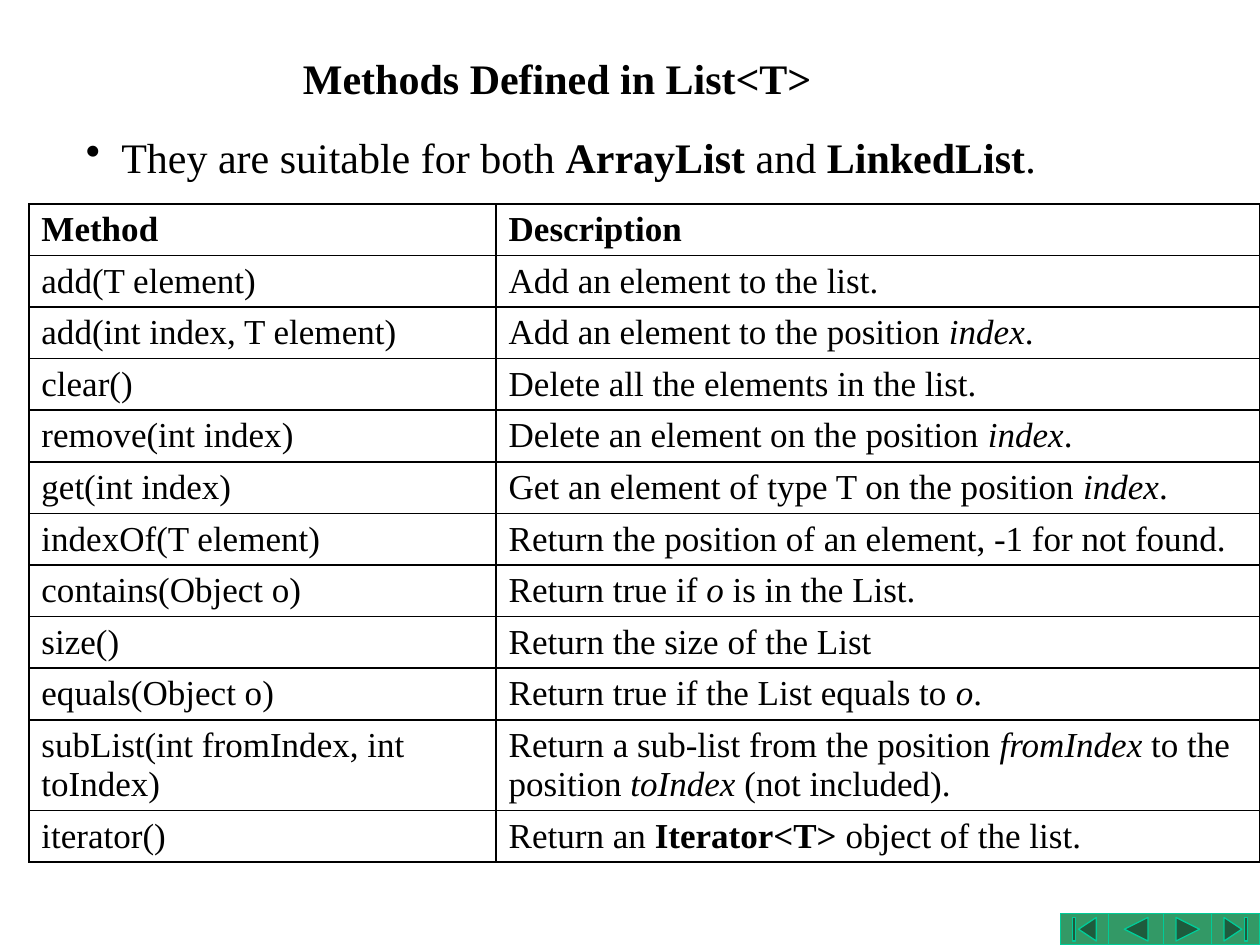
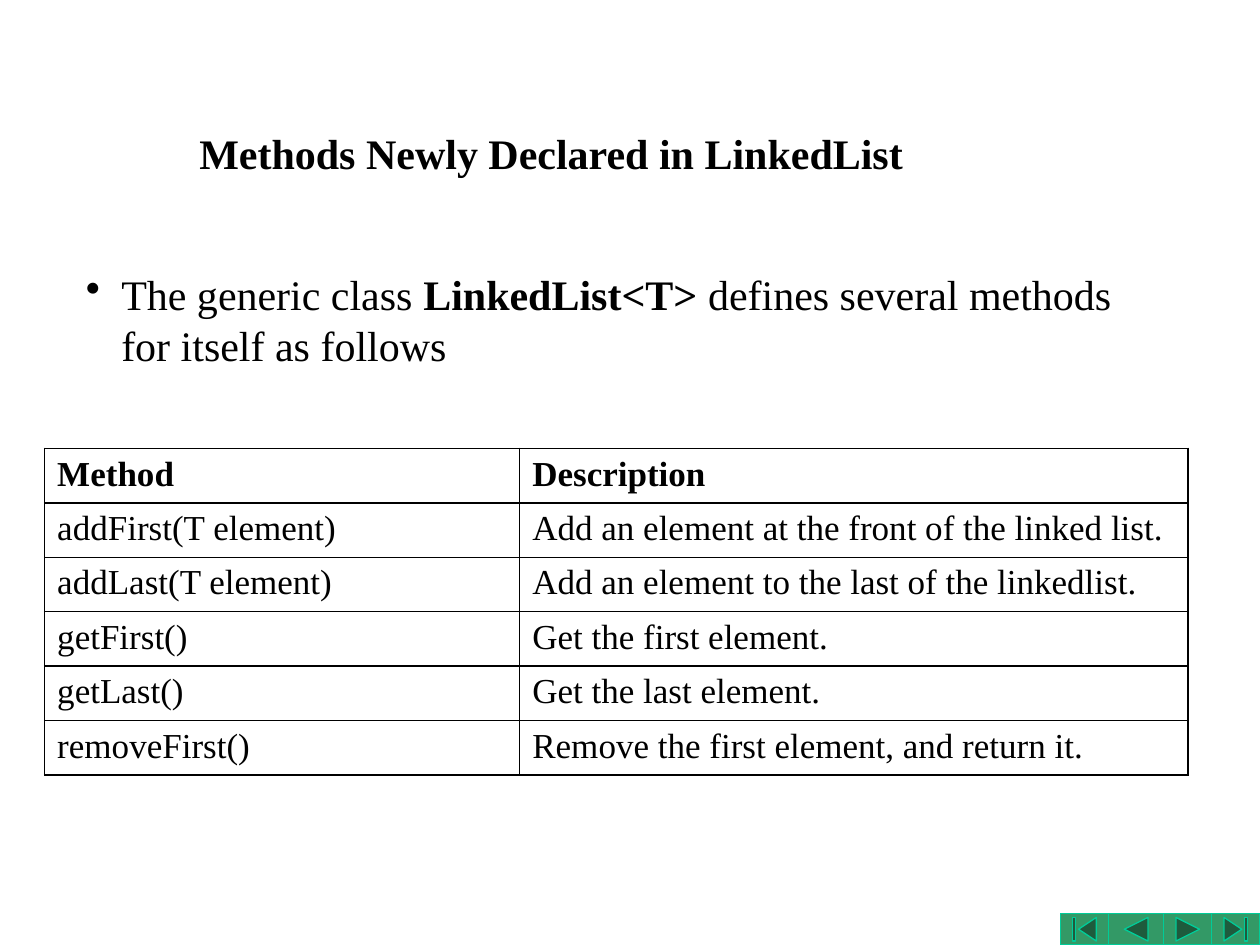
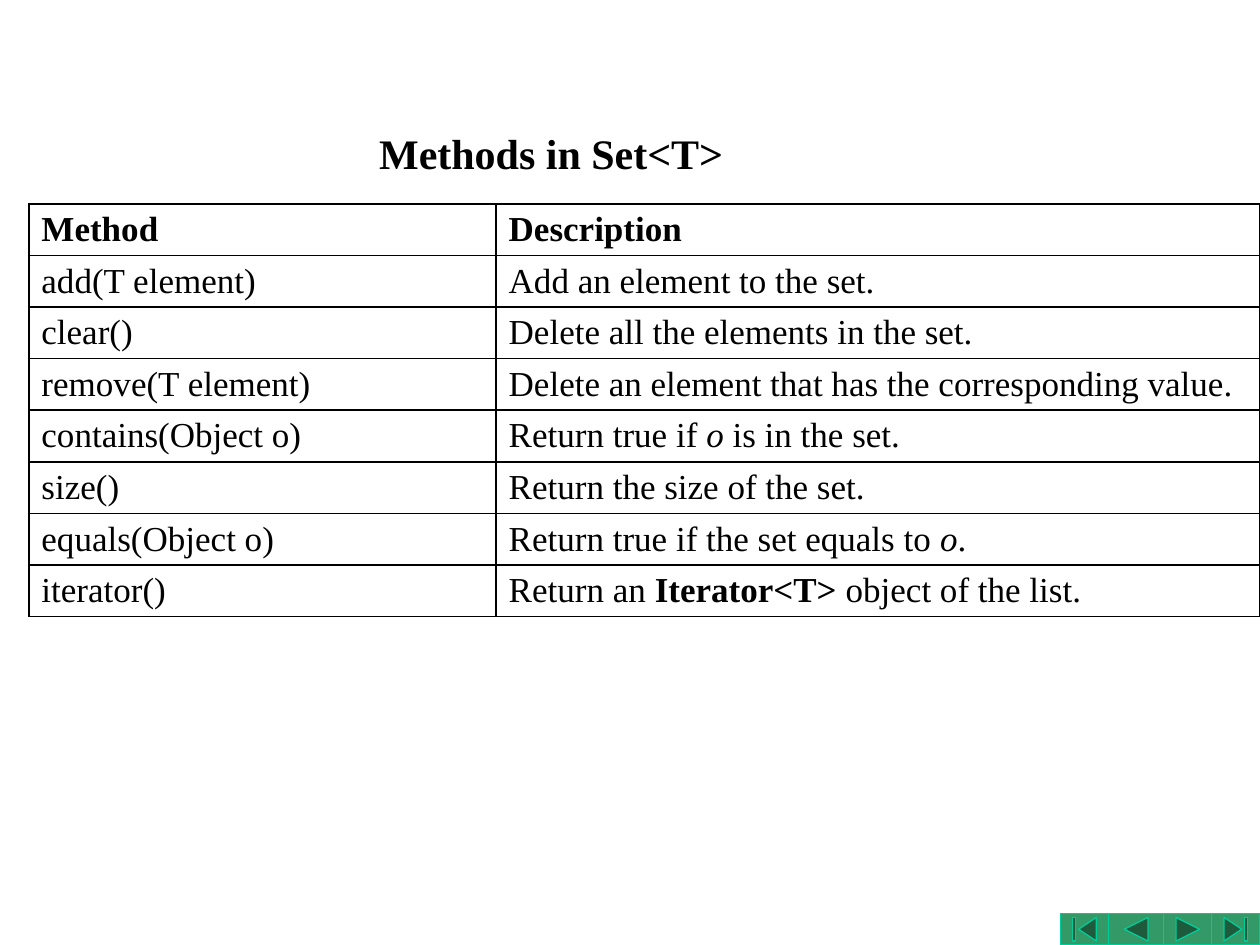
"""Build three slides that tabulate the methods of the Java collection types."""
from dataclasses import dataclass
from typing import NamedTuple, Optional, Union

from lxml import etree
from pptx import Presentation
from pptx.dml.color import RGBColor
from pptx.enum import shapes, text
from pptx.oxml import ns
from pptx.util import Pt

COLORS = {"ink": "000000", "button": "339966", "button_line": "00CC99"}
FONT = "Times New Roman"
SLIDE_W, SLIDE_H = 720, 540
BUTTON_H = 18
CELL_LINE = 22.25


class Run(NamedTuple):
    text: str
    bold: bool = False
    italic: bool = False


class Box(NamedTuple):
    left: float
    top: float
    width: float
    height: float


class Button(NamedTuple):
    kind: shapes.MSO_SHAPE
    width: float


Content = Union[str, tuple]


@dataclass(frozen=True)
class MethodTable:
    left: float
    top: float
    columns: tuple[float, float]
    row_height: float
    rows: tuple[tuple[str, Content], ...]


@dataclass(frozen=True)
class MethodSlide:
    title: str
    title_box: Box
    table: MethodTable
    bullet: Content = ""
    bullet_box: Optional[Box] = None


BUTTONS = (
    Button(shapes.MSO_SHAPE.ACTION_BUTTON_BEGINNING, 27.5),
    Button(shapes.MSO_SHAPE.ACTION_BUTTON_BACK_OR_PREVIOUS, 31.5),
    Button(shapes.MSO_SHAPE.ACTION_BUTTON_FORWARD_OR_NEXT, 27.5),
    Button(shapes.MSO_SHAPE.ACTION_BUTTON_END, 27.5),
)
HEADER = ("Method", "Description")
WIDE_TABLE = {"left": 16.5, "top": 116.5, "columns": (267, 436.5), "row_height": 29.4}
LOW_TITLE = Box(54, 60, 522, 54)
INDEX = Run("index", italic=True)
OBJECT = Run("o", italic=True)
ITERATOR_ROW = (
    "iterator()",
    ("Return an ", Run("Iterator<T>", bold=True), " object of the list."),
)

SLIDES = (
    MethodSlide(
        title="Methods Defined in List<T>",
        title_box=Box(57.5, 17.5, 522, 54),
        bullet=(
            "They are suitable for both ", Run("ArrayList", bold=True),
            " and ", Run("LinkedList", bold=True), ".",
        ),
        bullet_box=Box(42, 71.5, 612, 45),
        table=MethodTable(**WIDE_TABLE, rows=(
            ("add(T element)", "Add an element to the list."),
            ("add(int index, T element)", ("Add an element to the position ", INDEX, ".")),
            ("clear()", "Delete all the elements in the list."),
            ("remove(int index)", ("Delete an element on the position ", INDEX, ".")),
            ("get(int index)", ("Get an element of type T on the position ", INDEX, ".")),
            ("indexOf(T element)", "Return the position of an element, -1 for not found."),
            ("contains(Object o)", ("Return true if ", OBJECT, " is in the List.")),
            ("size()", "Return the size of the List"),
            ("equals(Object o)", ("Return true if the List equals to ", OBJECT, ".")),
            ("subList(int fromIndex, int toIndex)", (
                "Return a sub-list from the position ", Run("fromIndex", italic=True),
                " to the position ", Run("toIndex", italic=True), " (not included).",
            )),
            ITERATOR_ROW,
        )),
    ),
    MethodSlide(
        title="Methods Newly Declared in LinkedList",
        title_box=LOW_TITLE,
        bullet=(
            "The generic class ", Run("LinkedList<T>", bold=True),
            " defines several methods for itself as follows",
        ),
        bullet_box=Box(42, 150, 612, 67),
        table=MethodTable(25.5, 256.25, (271.5, 382), 31.1, (
            ("addFirst(T element)", "Add an element at the front of the linked list."),
            ("addLast(T element)", "Add an element to the last of the linkedlist."),
            ("getFirst()", "Get the first element."),
            ("getLast()", "Get the last element."),
            ("removeFirst()", "Remove the first element, and return it."),
        )),
    ),
    MethodSlide(
        title="Methods in Set<T>",
        title_box=LOW_TITLE,
        table=MethodTable(**WIDE_TABLE, rows=(
            ("add(T element)", "Add an element to the set."),
            ("clear()", "Delete all the elements in the set."),
            ("remove(T element)", "Delete an element that has the corresponding value."),
            ("contains(Object o)", ("Return true if ", OBJECT, " is in the set.")),
            ("size()", "Return the size of the set."),
            ("equals(Object o)", ("Return true if the set equals to ", OBJECT, ".")),
            ITERATOR_ROW,
        )),
    ),
)


def rgb(name: str) -> RGBColor:
    """Return a palette colour."""
    return RGBColor.from_string(COLORS[name])


def write_text(tf, content: Content, *, size: float, bold: bool = False,
               align=text.PP_ALIGN.LEFT, bullet: bool = False,
               line: Optional[float] = None) -> None:
    """Write plain or mixed runs into the first paragraph of a text frame."""
    p = tf.paragraphs[0]
    p.alignment = align
    if line:
        p.line_spacing = Pt(line)
    for part in (content,) if isinstance(content, str) else content:
        piece = Run(part) if isinstance(part, str) else part
        r = p.add_run()
        r.text = piece.text
        r.font.name, r.font.size = FONT, Pt(size)
        r.font.bold, r.font.italic = bold or piece.bold, piece.italic
        r.font.color.rgb = rgb("ink")
    if bullet:
        p.space_before = Pt(size * 0.2)
        props = p._p.get_or_add_pPr()
        props.set("marL", str(Pt(20.25)))
        props.set("indent", str(Pt(-20.25)))
        etree.SubElement(props, ns.qn("a:buChar"), char="•")


def add_text_box(s, box: Box, content: Content, anchor=text.MSO_ANCHOR.TOP, **fmt) -> None:
    """Add a wrapping text box."""
    tf = s.shapes.add_textbox(*map(Pt, box)).text_frame
    tf.word_wrap = True
    tf.vertical_anchor = anchor
    write_text(tf, content, **fmt)


def add_borders(cell) -> None:
    """Draw a one-point line on all sides of a cell."""
    props = cell._tc.get_or_add_tcPr()
    for side in "LRTB":
        line = etree.SubElement(props, ns.qn(f"a:ln{side}"), w=str(Pt(1)))
        fill = etree.SubElement(line, ns.qn("a:solidFill"))
        etree.SubElement(fill, ns.qn("a:srgbClr"), val=COLORS["ink"])


def add_method_table(s, spec: MethodTable) -> None:
    """Add a bordered table of methods under a bold header row."""
    rows = (HEADER, *spec.rows)
    frame = s.shapes.add_table(
        len(rows), len(HEADER), Pt(spec.left), Pt(spec.top),
        Pt(sum(spec.columns)), Pt(spec.row_height * len(rows)))
    table = frame.table
    table.first_row = table.horz_banding = False
    for column, width in zip(table.columns, spec.columns):
        column.width = Pt(width)
    for y, row in enumerate(rows):
        table.rows[y].height = Pt(spec.row_height)
        for x, content in enumerate(row):
            cell = table.cell(y, x)
            add_borders(cell)
            cell.fill.background()
            write_text(cell.text_frame, content, size=20, bold=y == 0, line=CELL_LINE)


def add_navigation(s) -> None:
    """Add the row of navigation buttons in the bottom right corner."""
    group = s.shapes.add_group_shape()
    left = SLIDE_W - sum(button.width for button in BUTTONS)
    for button in BUTTONS:
        sp = group.shapes.add_shape(
            button.kind, Pt(left), Pt(SLIDE_H - BUTTON_H), Pt(button.width), Pt(BUTTON_H))
        sp.shadow.inherit = False
        sp.fill.solid()
        sp.fill.fore_color.rgb = rgb("button")
        sp.line.color.rgb = rgb("button_line")
        sp.line.width = Pt(0.75)
        left += button.width


def add_method_slide(prs, content: MethodSlide) -> None:
    """Add one slide with its buttons, title, optional bullet and table."""
    s = prs.slides.add_slide(prs.slide_layouts[6])
    add_navigation(s)
    add_text_box(s, content.title_box, content.title, text.MSO_ANCHOR.MIDDLE,
                 size=24, bold=True, align=text.PP_ALIGN.CENTER)
    if content.bullet_box:
        add_text_box(s, content.bullet_box, content.bullet, size=24, bullet=True)
    add_method_table(s, content.table)


def main() -> None:
    """Build and save the presentation."""
    prs = Presentation()
    prs.slide_width, prs.slide_height = Pt(SLIDE_W), Pt(SLIDE_H)
    for content in SLIDES:
        add_method_slide(prs, content)
    prs.save("out.pptx")


main()
